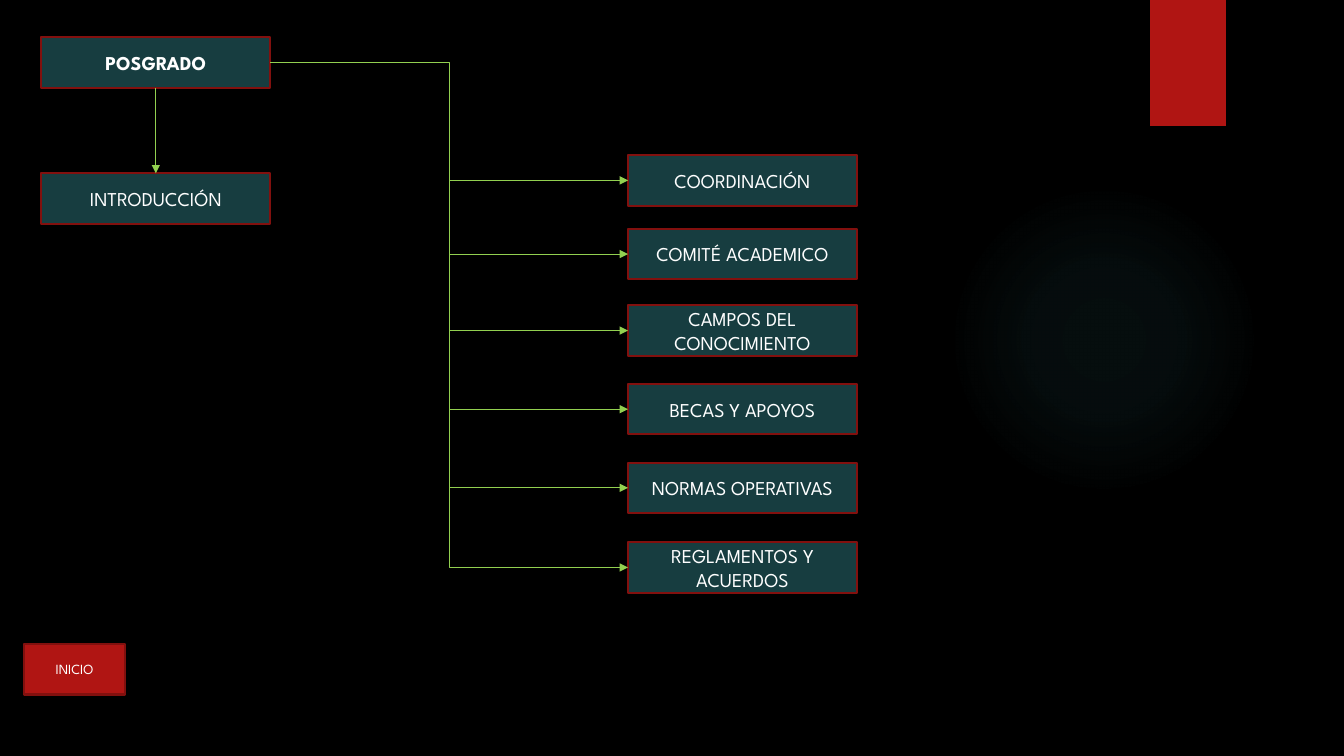
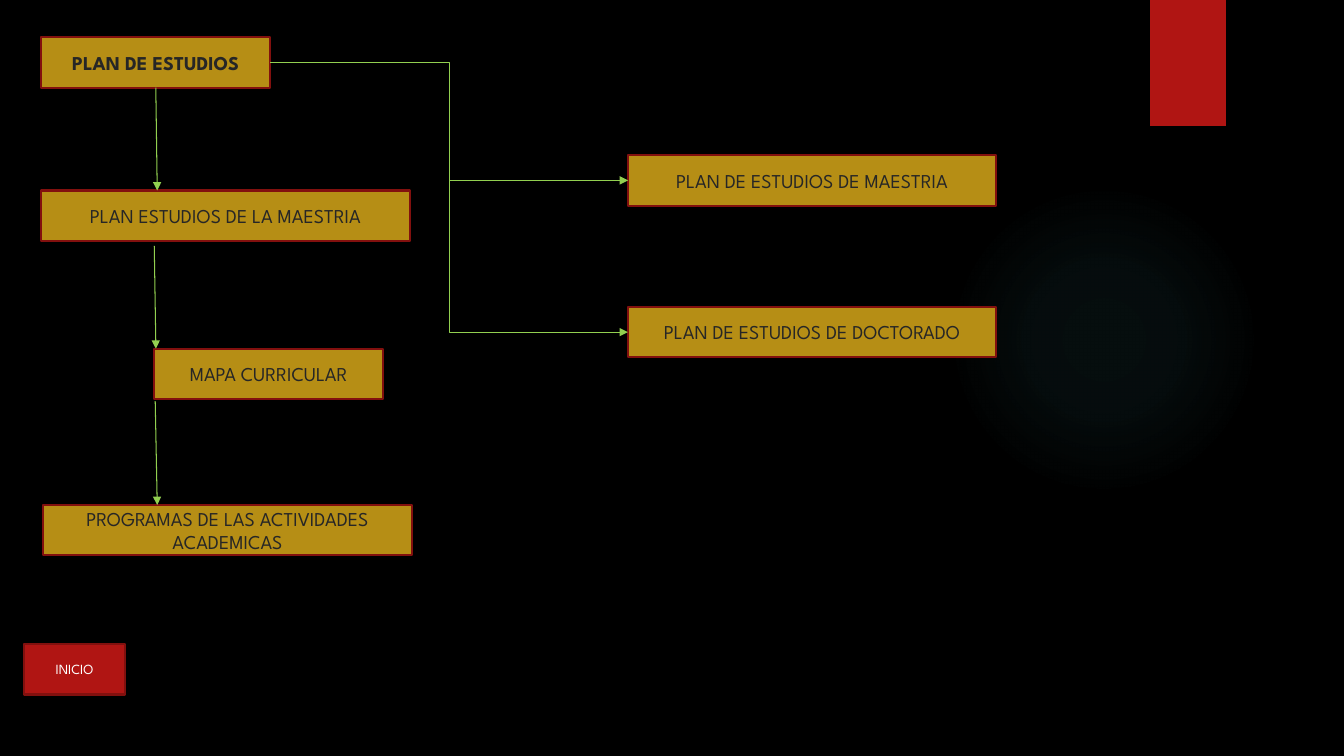
"""Build two linked menu charts for a postgraduate programme."""
from pptx import Presentation
from pptx.dml.color import RGBColor
from pptx.enum.shapes import MSO_CONNECTOR, MSO_SHAPE
from pptx.enum.text import MSO_ANCHOR, PP_ALIGN
from pptx.oxml import parse_xml
from pptx.oxml.ns import nsdecls, qn
from pptx.util import Inches, Pt
from lxml.etree import SubElement

BLACK = RGBColor(0x00, 0x00, 0x00)
WHITE = RGBColor(0xFF, 0xFF, 0xFF)
INK = RGBColor(0x26, 0x26, 0x26)
RED = RGBColor(0xB0, 0x15, 0x13)
EDGE = RGBColor(0x82, 0x10, 0x0E)
TEAL = RGBColor(0x17, 0x3D, 0x40)
GOLD = RGBColor(0xB6, 0x8E, 0x15)
LIME = RGBColor(0x92, 0xD0, 0x50)
GLOW = RGBColor(0x50, 0xB9, 0xC1)
FONT = "League Spartan"

WIDE, HIGH = Inches(13.333), Inches(7.5)
LEFT, RIGHT, TOP = 3.08, 46.73, 4.93
BOX, LONG, TALL = 17.03, 27.4, 6.67
TRUNK = (LEFT + BOX + RIGHT) / 2
DROP = 24
STOPS = [(0, 7), (36, 6), (69, 0)]

PAGES = [
    {
        "fill": TEAL, "ink": WHITE, "head": "POSGRADO", "span": BOX,
        "left": [("INTRODUCCIÓN", LEFT, 22.93, BOX, (11.6, 11.6, 11.6))],
        "right": [
            ("COORDINACIÓN", 20.53),
            ("COMITÉ ACADEMICO", 30.27),
            ("CAMPOS DEL CONOCIMIENTO", 40.4),
            ("BECAS Y APOYOS", 50.8),
            ("NORMAS OPERATIVAS", 61.2),
            ("REGLAMENTOS Y ACUERDOS", 71.73),
        ],
    },
    {
        "fill": GOLD, "ink": INK, "head": "PLAN DE ESTUDIOS", "span": LONG,
        "left": [
            ("PLAN ESTUDIOS DE LA MAESTRIA", LEFT, 25.2, LONG,
             (11.6, 11.6, 11.7)),
            ("MAPA CURRICULAR", 11.48, 46.13, BOX, (11.48, 32.53, 11.6)),
            ("PROGRAMAS DE LAS ACTIVIDADES ACADEMICAS", 3.23, 66.8, LONG,
             (11.55, 53.07, 11.7)),
        ],
        "right": [
            ("PLAN DE ESTUDIOS DE MAESTRIA", 20.53),
            ("PLAN DE ESTUDIOS DE DOCTORADO", 40.6),
        ],
    },
]


def across(cols):
    return round(WIDE * cols / 100)


def down(rows):
    return round(HIGH * rows / 100)


def add_form(slide, kind, x, y, wide, tall, fill):
    form = slide.shapes.add_shape(
        kind, across(x), down(y), across(wide), down(tall))
    form.shadow.inherit = False
    form.fill.solid()
    form.fill.fore_color.rgb = fill
    form.line.fill.background()
    return form


def add_box(slide, text, x, y, wide, fill, ink, size=14, bold=False):
    box = add_form(slide, MSO_SHAPE.RECTANGLE, x, y, wide, TALL, fill)
    box.line.color.rgb = EDGE
    box.line.width = Pt(1.5)
    frame = box.text_frame
    frame.word_wrap = True
    frame.vertical_anchor = MSO_ANCHOR.MIDDLE
    para = frame.paragraphs[0]
    para.alignment = PP_ALIGN.CENTER
    run = para.add_run()
    run.text = text
    run.font.name = FONT
    run.font.size = Pt(size)
    run.font.bold = bold
    run.font.color.rgb = ink
    return box


def add_arrow(slide, kind, x1, y1, x2, y2):
    arrow = slide.shapes.add_connector(
        kind, across(x1), down(y1), across(x2), down(y2))
    arrow.line.color.rgb = LIME
    arrow.line.width = Pt(0.75)
    props = arrow.element.spPr
    SubElement(props.find(qn("a:ln")), qn("a:tailEnd"), type="triangle")
    SubElement(props, qn("a:effectLst"))
    return arrow


def add_branch(slide, y):
    """Draw a line down the trunk that turns right into a box."""
    arrow = add_arrow(slide, MSO_CONNECTOR.ELBOW, TRUNK, y - DROP, RIGHT, y)
    run, fall = arrow.width, arrow.height
    shift = (run - fall) // 2
    arrow.left, arrow.top = arrow.left + shift, arrow.top - shift
    arrow.width, arrow.height = fall, run
    props = arrow.element.spPr
    props.find(qn("a:prstGeom")).set("prst", "bentConnector2")
    frame = props.find(qn("a:xfrm"))
    frame.set("rot", "16200000")
    frame.set("flipH", "1")


def add_base(slide):
    back = slide.background.fill
    back.solid()
    back.fore_color.rgb = BLACK
    glow = add_form(slide, MSO_SHAPE.OVAL, 70.58, 24.4, 23.1, 41.07, GLOW)
    stops = "".join(
        f'<a:gs pos="{pos * 1000}"><a:srgbClr val="{GLOW}">'
        f'<a:alpha val="{alpha * 1000}"/></a:srgbClr></a:gs>'
        for pos, alpha in STOPS)
    props = glow.element.spPr
    props.replace(props.find(qn("a:solidFill")), parse_xml(
        f'<a:gradFill {nsdecls("a")}><a:gsLst>{stops}</a:gsLst>'
        '<a:path path="circle"><a:fillToRect l="50000" t="50000" '
        'r="50000" b="50000"/></a:path></a:gradFill>'))
    add_form(slide, MSO_SHAPE.RECTANGLE, 85.58, 0, 5.63, 16.67, RED)


def add_page(deck, page):
    slide = deck.slides.add_slide(deck.slide_layouts[6])
    add_base(slide)
    look = page["fill"], page["ink"]
    head = add_box(slide, page["head"], LEFT, TOP, BOX, *look, bold=True)
    for text, x, y, wide, (x1, y1, x2) in page["left"]:
        box = add_box(slide, text, x, y, wide, *look)
        arrow = add_arrow(slide, MSO_CONNECTOR.STRAIGHT, x1, y1, x2, y)
        if y1 == 11.6:
            arrow.begin_connect(head, 2)
        if abs(x + wide / 2 - x2) < 0.1:
            arrow.end_connect(box, 0)
    for rank, (text, y) in enumerate(page["right"]):
        box = add_box(slide, text, RIGHT, y, page["span"], *look)
        mid = y + TALL / 2
        if rank:
            add_branch(slide, mid)
        else:
            arrow = add_arrow(slide, MSO_CONNECTOR.ELBOW,
                              LEFT + BOX, TOP + TALL / 2, RIGHT, mid)
            arrow.begin_connect(head, 3)
            arrow.end_connect(box, 1)
    add_box(slide, "INICIO", 1.8, 85.2, 7.5, RED, WHITE, size=10)


def main():
    deck = Presentation()
    deck.slide_width, deck.slide_height = WIDE, HIGH
    for page in PAGES:
        add_page(deck, page)
    deck.save("out.pptx")


if __name__ == "__main__":
    main()
